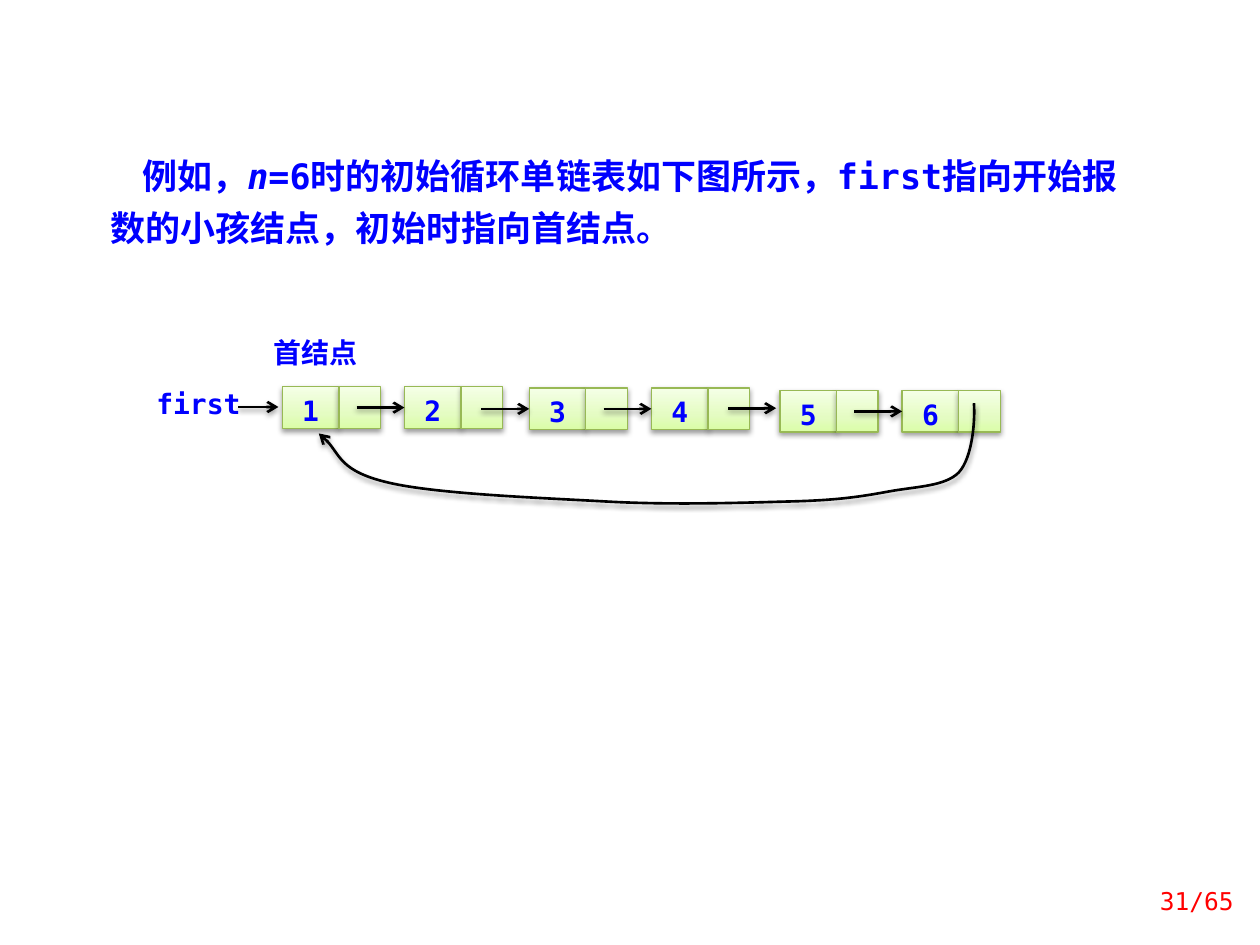
import copy
from dataclasses import dataclass
from typing import Optional

import pptx
import pptx.util
from lxml import etree
from pptx.dml.color import RGBColor
from pptx.enum.shapes import MSO_CONNECTOR, MSO_SHAPE
from pptx.enum.text import MSO_ANCHOR, PP_ALIGN
from pptx.oxml.ns import qn
from pptx.util import Inches, Pt

FONT = "DejaVu Sans Mono"
BLUE = RGBColor(0x00, 0x00, 0xFF)
RED = RGBColor(0xFF, 0x00, 0x00)
BLACK = RGBColor(0x00, 0x00, 0x00)
WHITE = RGBColor(0xFF, 0xFF, 0xFF)
NODE_BORDER = RGBColor(0x98, 0xB9, 0x55)
NODE_GRADIENT = [
    (0, RGBColor(0xDA, 0xFD, 0xA7)),
    (0.35, RGBColor(0xE4, 0xFC, 0xC2)),
    (1, RGBColor(0xF5, 0xFF, 0xE7)),
]
CELL_HEIGHT = 0.33
DATA_WIDTH = 0.45
LINK_WIDTH = 0.33
ARROW_LENGTH = 0.38


@dataclass
class Label:
    text: str
    left: float
    top: float


@dataclass
class Node:
    text: str
    left: float
    top: float


@dataclass
class Arrow:
    start: float
    end: float
    y: float
    target: Optional[int] = None


LABELS = [Label("首结点", 2.1, 2.66), Label("first", 1.17, 3.07)]
NODES = [
    Node("1", 2.24, 3.07),
    Node("2", 3.21, 3.07),
    Node("3", 4.2, 3.08),
    Node("4", 5.17, 3.08),
    Node("5", 6.19, 3.1),
    Node("6", 7.16, 3.1),
]
LOOSE_ARROWS = [Arrow(1.89, 2.21, 3.23), Arrow(5.78, 6.16, 3.24)]
LINKED_NODES = [1, 2, 3, 5]
RETURN_CURVE = [
    (7.73, 3.2),
    (7.74, 3.33), (7.72, 3.63), (7.61, 3.75),
    (7.5, 3.86), (7.28, 3.86), (7.06, 3.9),
    (6.84, 3.94), (6.66, 3.97), (6.28, 3.98),
    (5.9, 3.99), (5.33, 4.01), (4.8, 3.98),
    (4.26, 3.95), (3.46, 3.92), (3.08, 3.83),
    (2.7, 3.74), (2.69, 3.56), (2.53, 3.44),
]


def format_run(run, size: float, color: RGBColor, bold: bool = True) -> None:
    run.font.name = FONT
    run.font.size = Pt(size)
    run.font.bold = bold
    run.font.color.rgb = color


def add_shadow(shape) -> None:
    effects = etree.SubElement(shape._element.spPr, qn("a:effectLst"))
    shadow = etree.SubElement(
        effects, qn("a:outerShdw"), blurRad=str(Pt(3.1)), dist=str(Pt(1.6)),
        dir="5400000", rotWithShape="0")
    color = etree.SubElement(shadow, qn("a:srgbClr"), val=str(BLACK))
    etree.SubElement(color, qn("a:alpha"), val="38000")


def style_arrow(shape) -> None:
    shape.line.color.rgb = BLACK
    shape.line.width = Pt(1.5)
    outline = shape._element.spPr.find(qn("a:ln"))
    etree.SubElement(outline, qn("a:tailEnd"), type="arrow")
    add_shadow(shape)


def add_rectangle(slide, left: float, top: float, width: float, margin: float = 0):
    rectangle = slide.shapes.add_shape(
        MSO_SHAPE.RECTANGLE, Inches(left), Inches(top), Inches(width), Inches(CELL_HEIGHT))
    frame = rectangle.text_frame
    frame.vertical_anchor = MSO_ANCHOR.TOP
    frame.margin_left = frame.margin_right = Inches(margin)
    frame.margin_top = frame.margin_bottom = 0
    return rectangle


def write_centered(shape, text: str):
    paragraph = shape.text_frame.paragraphs[0]
    paragraph.text = text
    paragraph.alignment = PP_ALIGN.CENTER
    format_run(paragraph.runs[0], 16, BLUE)
    return paragraph


def add_label(slide, label: Label) -> None:
    rectangle = add_rectangle(slide, label.left, label.top, 0.81)
    rectangle.shadow.inherit = False
    rectangle.fill.solid()
    rectangle.fill.fore_color.rgb = WHITE
    rectangle.line.fill.background()
    write_centered(rectangle, label.text)


def add_cell(slide, left: float, top: float, width: float):
    cell = add_rectangle(slide, left, top, width, 0.1)
    cell.fill.gradient()
    stop_list = cell._element.spPr.find(".//" + qn("a:gsLst"))
    stop_list.append(copy.deepcopy(stop_list[0]))
    for stop, (position, color) in zip(cell.fill.gradient_stops, NODE_GRADIENT):
        stop.position = position
        stop.color.rgb = color
    cell.fill.gradient_angle = 90
    cell.line.color.rgb = NODE_BORDER
    cell.line.width = Pt(0.75)
    add_shadow(cell)
    return cell


def add_node(slide, node: Node):
    data_cell = add_cell(slide, node.left, node.top, DATA_WIDTH)
    write_centered(data_cell, node.text).line_spacing = Pt(23)
    add_cell(slide, node.left + DATA_WIDTH, node.top, LINK_WIDTH)
    return data_cell


def add_arrow(slide, arrow: Arrow, data_cells: list) -> None:
    connector = slide.shapes.add_connector(
        MSO_CONNECTOR.STRAIGHT, Inches(arrow.start), Inches(arrow.y),
        Inches(arrow.end), Inches(arrow.y))
    if arrow.target is not None:
        connector.end_connect(data_cells[arrow.target], 1)
    style_arrow(connector)


def add_return_curve(slide) -> None:
    points = [(Inches(x), Inches(y)) for x, y in RETURN_CURVE]
    builder = slide.shapes.build_freeform(*points[0])
    builder.add_line_segments(points[1:], close=False)
    curve = builder.convert_to_shape()
    outline = curve._element.spPr.find(".//" + qn("a:path"))
    segments = outline.findall(qn("a:lnTo"))
    for first in range(0, len(segments), 3):
        bezier = etree.SubElement(outline, qn("a:cubicBezTo"))
        for segment in segments[first:first + 3]:
            bezier.append(segment[0])
            outline.remove(segment)
    curve.fill.background()
    style_arrow(curve)


def add_text_box(slide, left: float, top: float, width: float, height: float):
    box = slide.shapes.add_textbox(Inches(left), Inches(top), Inches(width), Inches(height))
    box.text_frame.word_wrap = True
    return box.text_frame


def add_explanation(slide) -> None:
    paragraph = add_text_box(slide, 0.78, 1.09, 8.36, 0.9).paragraphs[0]
    paragraph.line_spacing = Pt(30)
    paragraph._p.get_or_add_pPr().set("indent", str(Inches(0.25)))
    for text in ("例如，", "n", "=6时的初始循环单链表如下图所示，first指向开始报数的小孩结点，初始时指向首结点。"):
        run = paragraph.add_run()
        run.text = text
        format_run(run, 20, BLUE)
        run.font.italic = text == "n"


def add_page_number(slide) -> None:
    frame = add_text_box(slide, 8.98, 6.95, 0.91, 0.4)
    frame.vertical_anchor = MSO_ANCHOR.MIDDLE
    frame.text = "31/65"
    frame.paragraphs[0].alignment = PP_ALIGN.RIGHT
    format_run(frame.paragraphs[0].runs[0], 14, RED, bold=False)


def main() -> None:
    presentation = pptx.Presentation()
    presentation.slide_width = Inches(10)
    presentation.slide_height = Inches(7.5)
    slide = presentation.slides.add_slide(presentation.slide_layouts[6])
    add_explanation(slide)
    for label in LABELS:
        add_label(slide, label)
    data_cells = [add_node(slide, node) for node in NODES]
    links = [
        Arrow(NODES[i].left - ARROW_LENGTH, NODES[i].left, NODES[i].top + CELL_HEIGHT / 2, i)
        for i in LINKED_NODES
    ]
    for arrow in LOOSE_ARROWS + links:
        add_arrow(slide, arrow, data_cells)
    add_return_curve(slide)
    add_page_number(slide)
    presentation.save("out.pptx")


if __name__ == "__main__":
    main()
